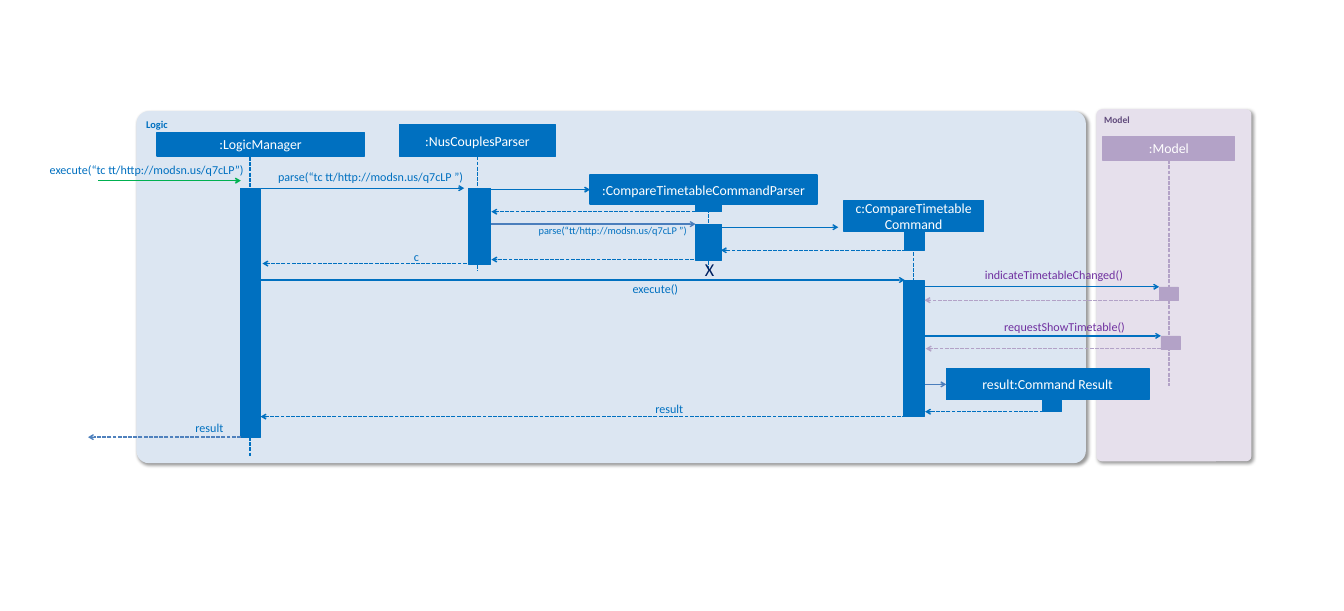
from lxml import etree
from pptx import Presentation
from pptx.dml.color import RGBColor
from pptx.enum.dml import MSO_LINE
from pptx.enum.shapes import MSO_CONNECTOR, MSO_SHAPE
from pptx.enum.text import MSO_ANCHOR, PP_ALIGN
from pptx.oxml.ns import qn
from pptx.util import Pt

RECT, ROUND = MSO_SHAPE.RECTANGLE, MSO_SHAPE.ROUNDED_RECTANGLE
LEFT, CENTER, RIGHT = PP_ALIGN.LEFT, PP_ALIGN.CENTER, PP_ALIGN.RIGHT
TOP, MIDDLE = MSO_ANCHOR.TOP, MSO_ANCHOR.MIDDLE
STRAIGHT, DASH = MSO_CONNECTOR.STRAIGHT, MSO_LINE.SQUARE_DOT
BLUE, STEEL, LILAC, PURPLE = "0070C0", "4B7EBC", "B3A2C7", "7030A0"
rgb = RGBColor.from_string

deck = Presentation()
deck.slide_width, deck.slide_height = Pt(1559.5), Pt(708.5)
slide = deck.slides.add_slide(deck.slide_layouts[6])
shapes = slide.shapes


def box(kind, place, fill, edge=0):
    """Add a filled shape; an edge of 0 leaves it without outline."""
    shape = shapes.add_shape(kind, *map(Pt, place))
    shape.shadow.inherit = False
    shape.fill.solid()
    shape.fill.fore_color.rgb = rgb(fill)
    if edge:
        shape.line.color.rgb = rgb(fill)
        shape.line.width = Pt(edge)
    else:
        shape.line.fill.background()
    return shape


def write(shape, text, size=14, color=BLUE, bold=False, align=RIGHT,
          anchor=TOP, inset=None):
    frame = shape.text_frame
    frame.word_wrap = True
    frame.vertical_anchor = anchor
    if inset is not None:
        frame.margin_left = frame.margin_right = Pt(inset)
        frame.margin_top = frame.margin_bottom = Pt(inset)
    frame.text = text
    for para in frame.paragraphs:
        para.alignment = align
        font = para.font
        font.name, font.size, font.bold = "Calibri", Pt(size), bold
        font.color.rgb = rgb(color)


# Panels with a soft shadow
panels = [
    ("Model", (1272.2, 126.7, 180, 408.2), "E6E0EC", "604A7B", 11),
    ("Logic", (158.4, 128.9, 1101.6, 408.2), "DCE6F2", BLUE, 12),
]
for name, place, fill, color, size in panels:
    panel = box(ROUND, place, fill)
    panel.adjustments[0] = 0.035
    write(panel, name, size=size, color=color, bold=True, align=LEFT)
    effect = panel._element.spPr.find(qn("a:effectLst"))
    shade = etree.SubElement(effect, qn("a:outerShdw"), blurRad=str(Pt(4)),
                             dist=str(Pt(3)), dir="2700000", algn="tl",
                             rotWithShape="0")
    black = etree.SubElement(shade, qn("a:srgbClr"), val="000000")
    etree.SubElement(black, qn("a:alpha"), val="40000")

# Objects
heads = {
    "logic": (":LogicManager", (182.2, 153.4, 240.5, 27.4), BLUE),
    "parser": (":NusCouplesParser", (463.7, 144.7, 180.7, 36.7), BLUE),
    "compare": (":CompareTimetableCommandParser",
                (684.7, 203, 263.5, 33.8), BLUE),
    "command": ("c:CompareTimetable\nCommand", (979.2, 232.6, 162, 36), BLUE),
    "model": (":Model", (1280, 158.4, 152.6, 27.4), LILAC),
    "result": ("result:Command Result", (1098, 427.7, 235.4, 36), BLUE),
}
nodes = {}
for key, (text, place, color) in heads.items():
    nodes[key] = box(RECT, place, color, 1.5)
    write(nodes[key], text, size=16, color="FFFFFF", align=CENTER,
          anchor=MIDDLE)

# Activation bars
bars = {
    "logic bar": (279.4, 218.2, 22.3, 288.7, BLUE),
    "parser bar": (543.6, 218.2, 25.9, 87.8, BLUE),
    "compare new": (807.1, 236.2, 30.2, 9.4, BLUE),
    "compare bar": (807.1, 259.9, 30.2, 41.8, BLUE),
    "command new": (1049.8, 268.6, 22.3, 21.6, BLUE),
    "command bar": (1048.3, 324.7, 23.8, 158.4, BLUE),
    "change bar": (1345, 332.6, 22.3, 15.8, LILAC),
    "show bar": (1347.1, 389.5, 22.3, 15.8, LILAC),
    "result new": (1209.6, 463.7, 22.3, 13.7, BLUE),
}
for key, (*place, color) in bars.items():
    nodes[key] = box(RECT, place, color, 0.75)

# Lifelines: x, top, bottom, colour, node at the top and its side
lives = [
    (290.2, 182.2, 528.5, BLUE, None, 0),
    (554.05, 181.4, 314.6, BLUE, "parser", 2),
    (822.2, 236.2, 313.2, BLUE, "compare new", 0),
    (1060.2, 268.6, 473.8, BLUE, "command", 2),
    (1356.3, 185.8, 447.8, LILAC, "model", 2),
]
# Messages: from x, to x, y, colour, dashed, node at the end
calls = [
    (113.8, 279.4, 209.5, "00B050", False, None),
    (302.4, 538.6, 218.2, BLUE, False, None),
    (569.5, 684.7, 219.9, BLUE, False, "compare"),
    (807.1, 570.2, 245.5, BLUE, True, None),
    (570.2, 807.1, 259.9, STEEL, False, None),
    (836.6, 972.7, 263.5, BLUE, False, None),
    (1057.7, 836.6, 290.2, BLUE, True, None),
    (823, 570.2, 301, BLUE, True, None),
    (541.4, 304.6, 305.6, BLUE, True, None),
    (302.4, 1049.8, 324.7, BLUE, False, None),
    (1072.8, 1345, 332.6, BLUE, False, None),
    (1345, 1072.8, 348.1, LILAC, True, None),
    (1072.8, 1347.1, 389.5, BLUE, False, None),
    (1347.1, 1074.2, 404.3, LILAC, True, None),
    (1073.5, 1098, 445.7, STEEL, False, "result"),
    (1216.8, 1073.5, 477.4, BLUE, True, None),
    (1051.2, 302.4, 483.1, BLUE, True, None),
    (279.4, 102.2, 506.9, "4F81BD", True, None),
]
links = [((x, top, x, end), color, True, False, node, side)
         for x, top, end, color, node, side in lives]
links += [((start, y, end, y), color, dash, True, node, 1)
          for start, end, y, color, dash, node in calls]
for ends, color, dash, arrow, node, side in links:
    link = shapes.add_connector(STRAIGHT, *map(Pt, ends))
    link.line.color.rgb = rgb(color)
    link.line.width = Pt(1.5)
    if dash:
        link.line.dash_style = DASH
    if arrow:
        etree.SubElement(link.line._get_or_add_ln(), qn("a:tailEnd"),
                         type="arrow")
    etree.SubElement(link._element.spPr, qn("a:effectLst"))
    if node:
        join = link.end_connect if arrow else link.begin_connect
        join(nodes[node], side)

# Message labels: text, left, top, width, size, colour
labels = [
    ("execute(“tc tt/http://modsn.us/q7cLP”)", 33, 187.9, 250, 14, BLUE),
    ("parse(“tc tt/http://modsn.us/q7cLP ”)", 302.4, 196.6, 235.4, 14, BLUE),
    ("parse(“tt/http://modsn.us/q7cLP ”)", 621.4, 259.9, 175.7, 12, BLUE),
    ("c", 453.6, 288.7, 32.4, 14, BLUE),
    ("execute()", 660.2, 326.9, 126.7, 14, BLUE),
    ("indicateTimetableChanged()", 1092.2, 310.3, 211, 14, PURPLE),
    ("requestShowTimetable()", 1094.4, 370.1, 211, 14, PURPLE),
    ("result", 700.6, 465.1, 92.2, 14, BLUE),
    ("result", 146.2, 487.4, 113, 14, BLUE),
]
for text, left, top, width, size, color in labels:
    label = shapes.add_textbox(Pt(left), Pt(top), Pt(width), Pt(17))
    write(label, text, size=size, color=color, inset=0)

cross = shapes.add_textbox(Pt(810.7), Pt(296.6), Pt(27.4), Pt(28.8))
write(cross, "X", size=21, color="002060", align=LEFT)

deck.save("out.pptx")
